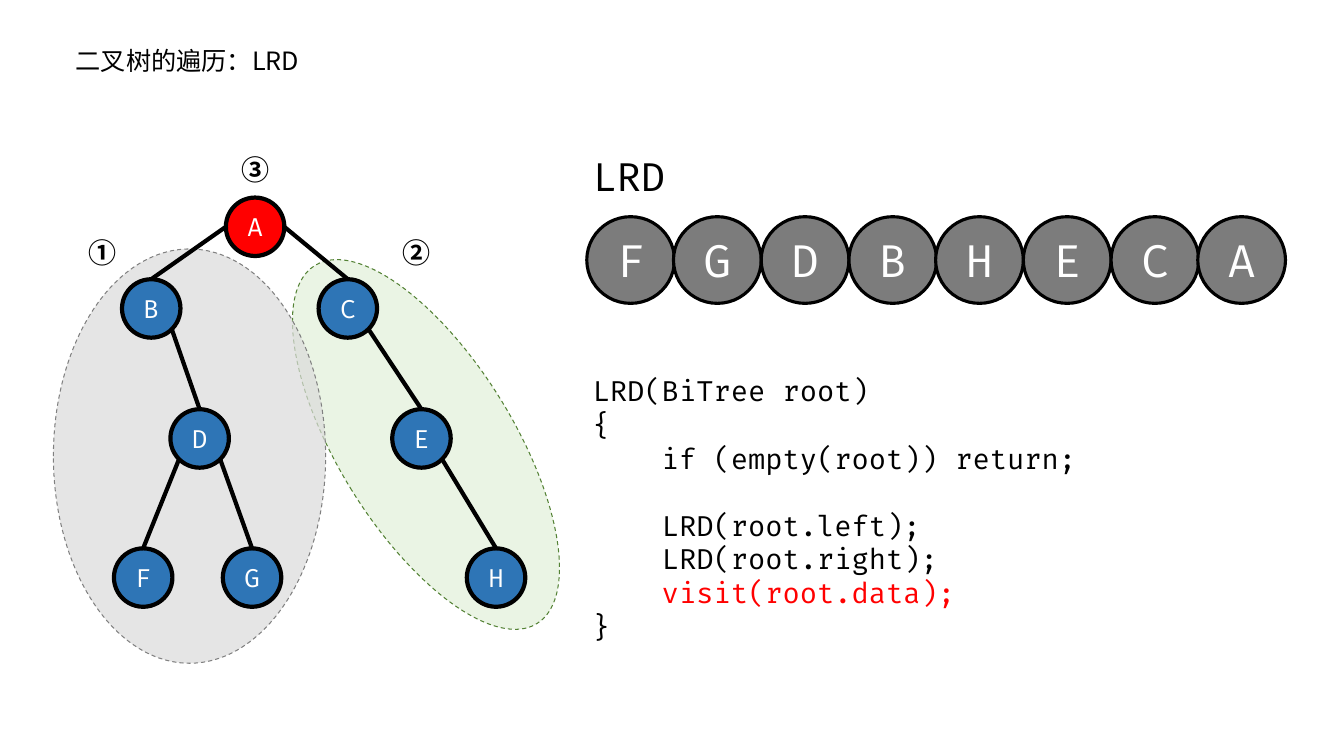
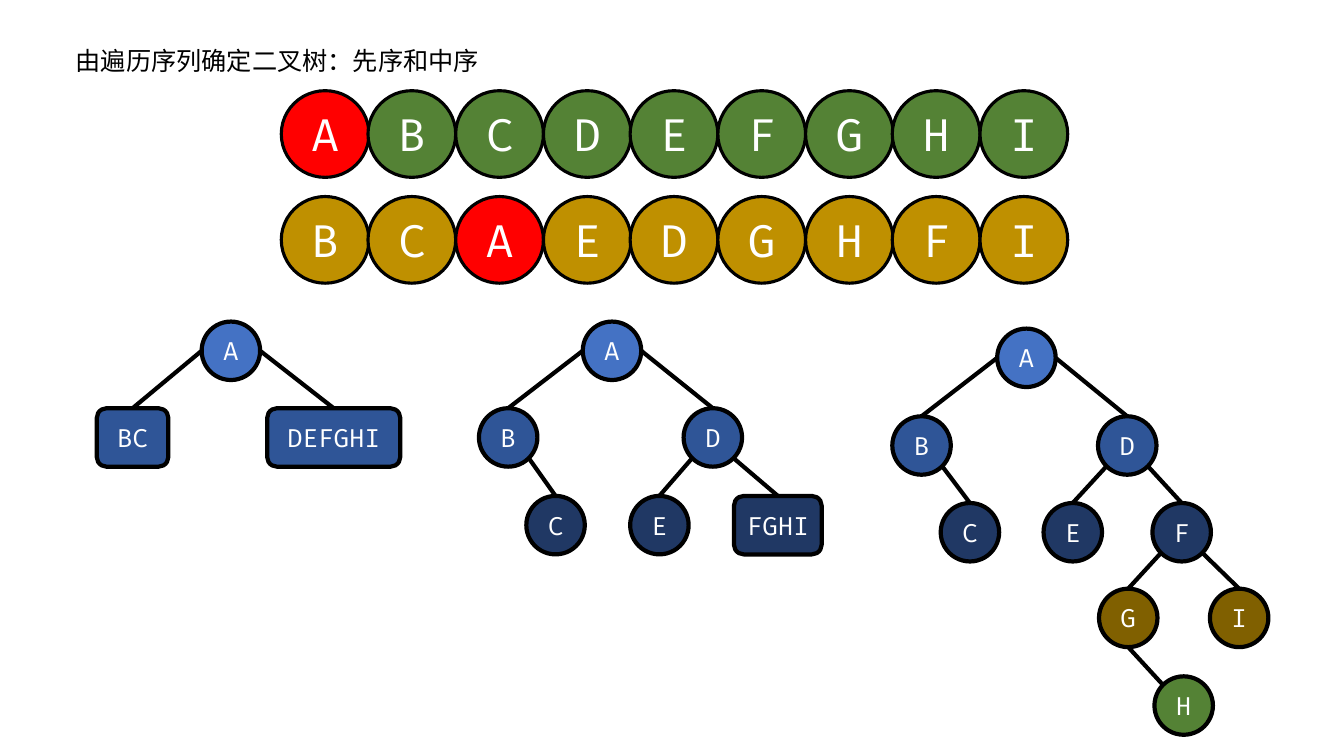
from lxml import etree
from pptx import Presentation
from pptx.dml.color import RGBColor
from pptx.enum.dml import MSO_LINE
from pptx.enum.shapes import MSO_CONNECTOR, MSO_SHAPE
from pptx.enum.text import MSO_ANCHOR, MSO_AUTO_SIZE, PP_ALIGN
from pptx.oxml.ns import qn
from pptx.util import Pt

PX = 9144
OVAL, ROUNDED = MSO_SHAPE.OVAL, MSO_SHAPE.ROUNDED_RECTANGLE
STRAIGHT, DASH = MSO_CONNECTOR.STRAIGHT, MSO_LINE.DASH
LEFT, CENTER = PP_ALIGN.LEFT, PP_ALIGN.CENTER
TOP, MIDDLE = MSO_ANCHOR.TOP, MSO_ANCHOR.MIDDLE
GROW = MSO_AUTO_SIZE.SHAPE_TO_FIT_TEXT

BLACK = RGBColor(0x00, 0x00, 0x00)
WHITE = RGBColor(0xFF, 0xFF, 0xFF)
RED = RGBColor(0xFF, 0x00, 0x00)
BLUE = RGBColor(0x2E, 0x75, 0xB6)
LIGHT_BLUE = RGBColor(0x44, 0x72, 0xC4)
MID_BLUE = RGBColor(0x2F, 0x55, 0x97)
NAVY = RGBColor(0x20, 0x38, 0x64)
BROWN = RGBColor(0x80, 0x60, 0x00)
GREEN = RGBColor(0x54, 0x82, 0x35)
GOLD = RGBColor(0xBF, 0x90, 0x00)
GRAY = RGBColor(0x7C, 0x7C, 0x7C)
PALE_GREEN = RGBColor(0xE2, 0xF0, 0xD9)
PALE_GRAY = RGBColor(0xDB, 0xDB, 0xDB)
EDGE_GRAY = RGBColor(0x80, 0x80, 0x80)

CODE_FONT = "Fira Code"
TEXT_FONT = "Noto Sans CJK SC"
NODE = 58
LEVEL_FILLS = (LIGHT_BLUE, MID_BLUE, NAVY, BROWN, GREEN)
DIAGONAL = (0.15, 0.85)

CODE = (
    "LRD(BiTree root)",
    "{",
    "    if (empty(root)) return;",
    "    LRD(root.left);",
    "    LRD(root.right);",
    "    visit(root.data);",
    "}",
)


def emu(*lengths):
    return [round(length * PX) for length in lengths]


def style(paragraph, size, font, color, align=LEFT, bold=False):
    paragraph.alignment = align
    paragraph.font.size = Pt(size)
    paragraph.font.bold = bold
    paragraph.font.color.rgb = color
    paragraph.font.name = font
    east_asian = etree.SubElement(paragraph.font._element, qn("a:ea"))
    east_asian.set("typeface", font)


def add_titled_slide(prs, title):
    slide = prs.slides.add_slide(prs.slide_layouts[5])
    heading = slide.shapes.title
    heading.left, heading.top, heading.width, heading.height = emu(65, 40, 689, 40)
    frame = heading.text_frame
    frame.text = title
    frame.word_wrap = True
    frame.vertical_anchor = TOP
    frame.auto_size = GROW
    style(frame.paragraphs[0], 18, TEXT_FONT, BLACK)
    return slide


def add_text(slide, box, lines, size, font, align=LEFT, bold=False):
    frame = slide.shapes.add_textbox(*emu(*box)).text_frame
    frame.word_wrap = True
    frame.auto_size = GROW
    frame.text = "\n".join(lines)
    for paragraph in frame.paragraphs:
        style(paragraph, size, font, BLACK, align, bold)
    return frame.paragraphs


def add_outlined(slide, kind, box, fill, line, weight):
    shape = slide.shapes.add_shape(kind, *emu(*box))
    shape.shadow.inherit = False
    shape.fill.solid()
    shape.fill.fore_color.rgb = fill
    shape.line.color.rgb = line
    shape.line.width = Pt(weight)
    return shape


def add_region(slide, box, fill, line, rotation=0):
    region = add_outlined(slide, OVAL, box, fill, line, 0.75)
    region.line.dash_style = DASH
    region.rotation = rotation
    color = region._element.spPr.find(qn("a:solidFill"))[0]
    etree.SubElement(color, qn("a:alpha")).set("val", "70000")


def add_node(slide, label, box, fill, size=18, weight=3):
    kind = OVAL if len(label) == 1 else ROUNDED
    node = add_outlined(slide, kind, box, fill, BLACK, weight)
    frame = node.text_frame
    frame.text = label
    frame.word_wrap = False
    frame.vertical_anchor = MIDDLE
    style(frame.paragraphs[0], size, CODE_FONT, WHITE, CENTER)
    return node


def add_sequence(slide, left, top, labels, fill, root=None):
    for i, label in enumerate(labels):
        box = (left + i * 260 // 3, top, 87, 86)
        add_node(slide, label, box, RED if label == root else fill, 32, 2.25)


def point_on(node, across, down):
    return round(node.left + node.width * across), round(node.top + node.height * down)


def add_edge(slide, parent, child, is_root, from_bottom):
    goes_right = child.left + child.width / 2 > parent.left + parent.width / 2
    if from_bottom:
        start, end = (0.5, 1), (DIAGONAL[not goes_right], DIAGONAL[0])
    else:
        start = (int(goes_right), 0.5) if is_root else (DIAGONAL[goes_right], DIAGONAL[1])
        end = (0.5, 0)
    edge = slide.shapes.add_connector(
        STRAIGHT, *point_on(parent, *start), *point_on(child, *end))
    edge.line.color.rgb = BLACK
    edge.line.width = Pt(3)
    etree.SubElement(edge._element.spPr, qn("a:effectLst"))
    if not from_bottom:
        edge.end_connect(child, 0)


def add_tree(slide, tops, fills, members, widths=None, bottom_exits=""):
    nodes, depths = {}, {}
    for label, parent, left in members:
        depth = depths[parent] + 1 if parent else 0
        width = (widths or {}).get(label, NODE)
        depths[label] = depth
        nodes[label] = add_node(
            slide, label, (left, tops[depth], width, NODE), fills[depth])
        if parent:
            add_edge(slide, nodes[parent], nodes[label],
                     depths[parent] == 0, parent in bottom_exits)


def build_postorder(prs):
    slide = add_titled_slide(prs, "二叉树的遍历：LRD")
    add_region(slide, (336, 232, 173, 418), PALE_GREEN, GREEN, 328.2)
    add_region(slide, (53, 247, 270, 411), PALE_GRAY, EDGE_GRAY)
    for mark, left, top in (("①", 76, 229), ("②", 387, 229), ("③", 227, 146)):
        add_text(slide, (left, top, 52, 44), [mark], 20, TEXT_FONT, CENTER, True)
    add_tree(slide, (196, 277, 406, 544), (RED, BLUE, BLUE, BLUE), (
        ("A", None, 224), ("B", "A", 121), ("C", "A", 316), ("D", "B", 169),
        ("E", "C", 389), ("F", "D", 113), ("G", "D", 221), ("H", "E", 463)))
    add_text(slide, (578, 146, 307, 57), ["LRD"], 28, CODE_FONT)
    add_sequence(slide, 582, 215, "FGDBHECA", GRAY)
    code_lines = add_text(slide, (578, 366, 665, 279), CODE, 20, CODE_FONT)
    code_lines[3].space_before = Pt(24)
    code_lines[5].font.color.rgb = RED


def build_reconstruction(prs):
    slide = add_titled_slide(prs, "由遍历序列确定二叉树：先序和中序")
    add_sequence(slide, 279, 90, "ABCDEFGHI", GREEN, "A")
    add_sequence(slide, 279, 195, "BCAEDGHFI", GOLD, "A")
    early_tops = (319, 405, 492)
    add_tree(slide, early_tops, LEVEL_FILLS, (
        ("A", None, 200), ("BC", "A", 96), ("DEFGHI", "A", 265)),
        {"BC": 71, "DEFGHI": 132})
    add_tree(slide, early_tops, LEVEL_FILLS, (
        ("A", None, 578), ("B", "A", 475), ("D", "A", 678),
        ("C", "B", 522), ("E", "D", 625), ("FGHI", "D", 728)),
        {"FGHI": 87})
    add_tree(slide, (326, 413, 499, 584, 671), LEVEL_FILLS, (
        ("A", None, 989), ("B", "A", 885), ("D", "A", 1089),
        ("C", "B", 933), ("E", "D", 1035), ("F", "D", 1143),
        ("G", "F", 1090), ("I", "F", 1200), ("H", "G", 1145)),
        bottom_exits="G")


def main():
    prs = Presentation()
    prs.slide_width, prs.slide_height = emu(1333, 750)
    build_postorder(prs)
    build_reconstruction(prs)
    prs.save("out.pptx")


if __name__ == "__main__":
    main()
